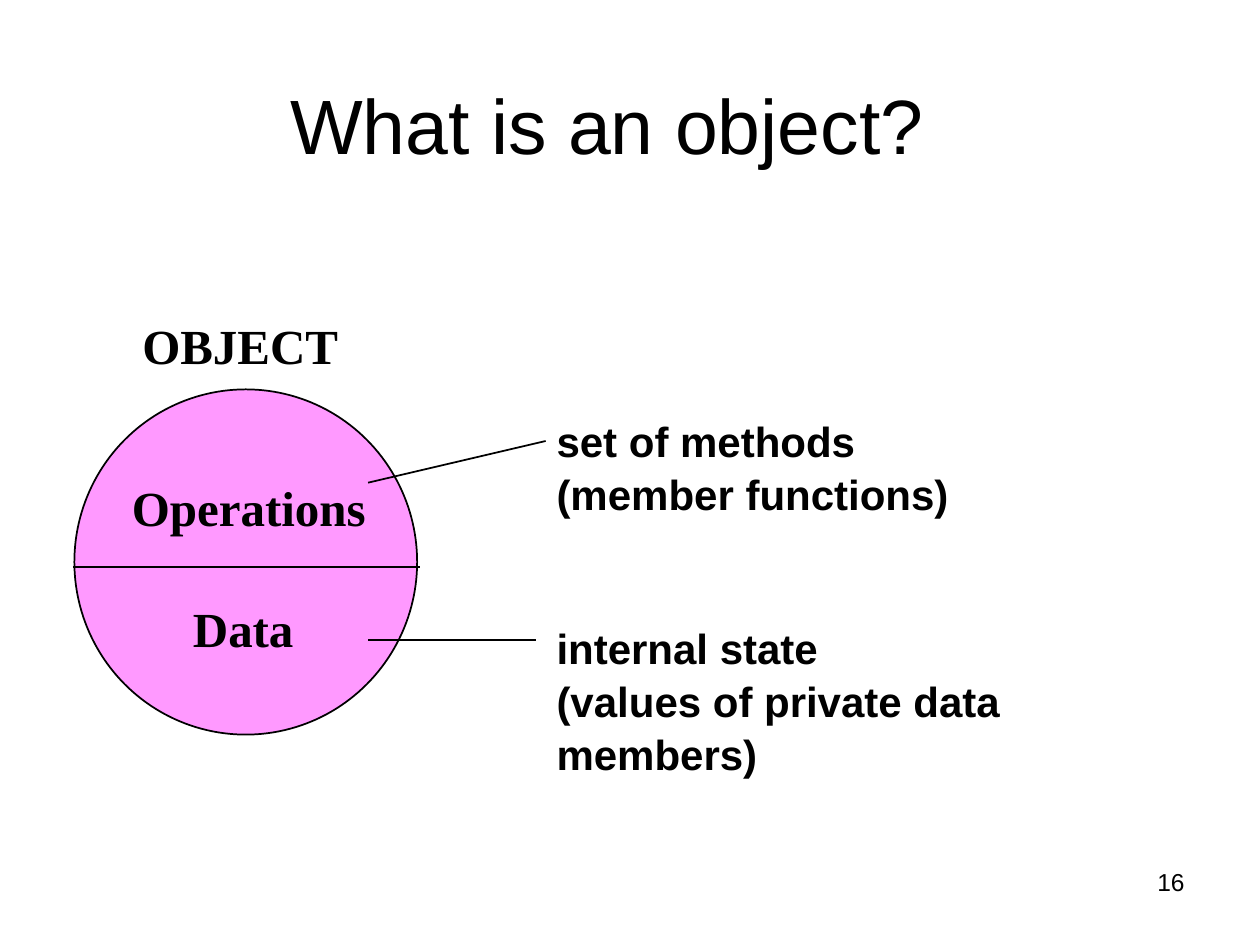
from dataclasses import dataclass

from lxml import etree
from pptx import Presentation
from pptx import util as u
from pptx.dml.color import RGBColor
from pptx.enum import shapes, text
from pptx.oxml.ns import qn

COLORS = {"ink": "000000", "object": "FF99FF"}
SANS, SERIF = "Arial", "Times New Roman"


@dataclass
class Para:
    text: str
    before: float = 0  # points
    indent: float = 0  # cm


@dataclass
class Label:
    box: tuple[float, float, float, float]  # cm
    paras: list[Para]
    font: str
    size: float
    bold: bool = True
    align: text.PP_ALIGN = text.PP_ALIGN.LEFT
    spacing: float = 1.05


@dataclass
class Line:
    start: tuple[float, float]  # cm
    end: tuple[float, float]


LABELS = [
    Label((2.62, 6.17, 4.8, 1.45), [Para("OBJECT")], SERIF, 28),
    Label((2.41, 9.45, 5.5, 3.81),
          [Para("Operations"), Para("Data", before=33.8, indent=1.23)], SERIF, 28),
    Label((10.97, 8.2, 13, 6.35),
          [Para("set of methods"), Para("(member functions)"),
           Para("internal state", before=57.8),
           Para("(values of private data members)")], SANS, 24),
    Label((18.21, 17.35, 5.92, 1.32), [Para("16")], SANS, 14, bold=False,
          align=text.PP_ALIGN.RIGHT, spacing=1),
]
LINES = [
    Line((7.42, 9.73), (11, 8.89)),
    Line((7.42, 12.9), (10.8, 12.9)),
    Line((1.47, 11.43), (8.46, 11.43)),
]


def cm(values):
    return [u.Cm(v) for v in values]


def rgb(name: str) -> RGBColor:
    return RGBColor.from_string(COLORS[name])


def write(p, content: str, *, font: str, size: float, bold: bool = False,
          align=text.PP_ALIGN.LEFT, before: float = 0, indent: float = 0,
          spacing: float = 1) -> None:
    if indent:
        p._p.get_or_add_pPr().set("marL", str(u.Cm(indent)))
    p.alignment = align
    p.space_before = u.Pt(before)
    p.line_spacing = spacing
    r = p.add_run()
    r.text = content
    r.font.name, r.font.size, r.font.bold = font, u.Pt(size), bold
    r.font.color.rgb = rgb("ink")


def add_label(slide, label: Label) -> None:
    tf = slide.shapes.add_textbox(*cm(label.box)).text_frame
    tf.word_wrap = True
    for i, para in enumerate(label.paras):
        p = tf.add_paragraph() if i else tf.paragraphs[0]
        write(p, para.text, font=label.font, size=label.size, bold=label.bold,
              align=label.align, before=para.before, indent=para.indent,
              spacing=label.spacing)


def add_line(slide, line: Line) -> None:
    c = slide.shapes.add_connector(shapes.MSO_CONNECTOR.STRAIGHT,
                                   *cm(line.start + line.end))
    c.line.color.rgb = rgb("ink")
    c.line.width = u.Pt(1)
    etree.SubElement(c._element.spPr, qn("a:effectLst"))


def add_object_circle(slide) -> None:
    sp = slide.shapes.add_shape(shapes.MSO_SHAPE.OVAL, *cm((1.5, 7.85, 6.91, 6.96)))
    sp.shadow.inherit = False
    sp.fill.solid()
    sp.fill.fore_color.rgb = rgb("object")
    sp.line.color.rgb = rgb("ink")
    sp.line.width = u.Pt(1)


def add_title(slide, content: str) -> None:
    sp = slide.shapes.title
    sp.left, sp.top, sp.width, sp.height = cm((0.03, 1.07, 24.43, 2.49))
    sp.text_frame.vertical_anchor = text.MSO_ANCHOR.BOTTOM
    write(sp.text_frame.paragraphs[0], content, font=SANS, size=44,
          align=text.PP_ALIGN.CENTER)


def main() -> None:
    prs = Presentation()
    prs.slide_width, prs.slide_height = cm((25.4, 19.05))
    slide = prs.slides.add_slide(prs.slide_layouts[5])
    add_title(slide, "What is an object?")
    add_object_circle(slide)
    for label in LABELS:
        add_label(slide, label)
    for line in LINES:
        add_line(slide, line)
    prs.save("out.pptx")


if __name__ == "__main__":
    main()
